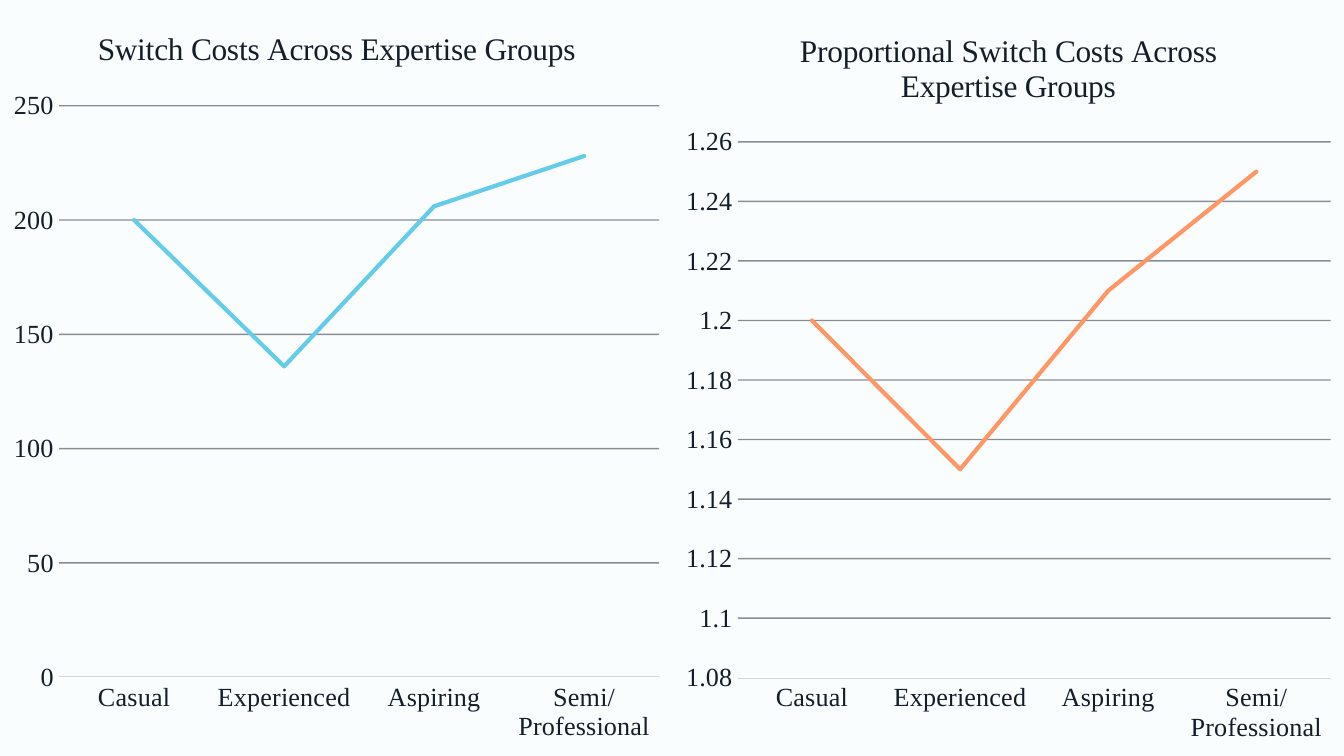
from dataclasses import dataclass

from pptx import Presentation, util as u
from pptx.chart.data import CategoryChartData
from pptx.dml.color import RGBColor
from pptx.enum import chart as ch
from pptx.oxml import parse_xml
from pptx.oxml.ns import nsdecls, qn


@dataclass(frozen=True)
class Theme:
    font: str = "Times New Roman"
    ink: str = "131E29"
    paper: str = "FAFDFE"
    axis: str = "FFFFFF"
    blue: str = "64CBE8"
    orange: str = "FF9664"
    body: float = 14
    title: float = 16.8
    hairline: float = 0.75
    curve: float = 2.25
    grid_alpha: int = 50


@dataclass(frozen=True)
class Panel:
    column: int
    top: float
    title: str
    values: tuple[float, ...]
    color: str
    low: float
    high: float
    step: float
    title_percent: tuple[float, float]
    plot_percent: tuple[float, float, float, float]


THEME = Theme()
WIDTH, COLUMNS = 10, 2
HEIGHT = WIDTH * 9 / 16
GROUPS = ("Casual", "Experienced", "Aspiring", "Semi/Professional")
PANELS = (
    Panel(0, 0, "Switch Costs Across Expertise Groups", (200, 136, 206, 228),
          THEME.blue, 0, 250, 50, (13.7, 3.1), (8.8, 14, 89.3, 75.6)),
    Panel(1, 0.01, "Proportional Switch Costs Across Expertise Groups",
          (1.2, 1.15, 1.21, 1.25), THEME.orange, 1.08, 1.26, 0.02,
          (18.2, 3.1), (9.8, 18.6, 88.2, 70.9)),
)


def apply(target, **values) -> None:
    for name, value in values.items():
        setattr(target, name, value)


def style_font(font, size: float) -> None:
    apply(font, name=THEME.font, size=u.Pt(size), bold=False)
    font.color.rgb = RGBColor.from_string(THEME.ink)


def style_line(line, color: str, width: float) -> None:
    line.color.rgb = RGBColor.from_string(color)
    line.width = u.Pt(width)


def set_layout(parent, index: int, percents: tuple[float, ...]) -> None:
    for old in parent.findall(qn("c:layout")):
        parent.remove(old)
    target = '<c:layoutTarget val="inner"/>' if len(percents) == 4 else ""
    sizes = "".join(f'<c:{k} val="{v / 100}"/>' for k, v in zip("xywh", percents))
    parent.insert(index, parse_xml(
        f'<c:layout {nsdecls("c")}><c:manualLayout>{target}'
        f'<c:xMode val="edge"/><c:yMode val="edge"/>{sizes}'
        "</c:manualLayout></c:layout>"))


def style_axes(chart, panel: Panel) -> None:
    cat, val = chart.category_axis, chart.value_axis
    for axis in (cat, val):
        apply(axis, major_tick_mark=ch.XL_TICK_MARK.NONE,
              minor_tick_mark=ch.XL_TICK_MARK.NONE,
              tick_label_position=ch.XL_TICK_LABEL_POSITION.NEXT_TO_AXIS)
        style_font(axis.tick_labels.font, THEME.body)
    style_line(cat.format.line, THEME.axis, THEME.hairline)
    apply(val, minimum_scale=panel.low, maximum_scale=panel.high,
          major_unit=panel.step, has_major_gridlines=True)
    apply(val.tick_labels, number_format="General", number_format_is_linked=False)
    val.format.line.fill.background()
    style_line(val.major_gridlines.format.line, THEME.ink, THEME.hairline)
    color = val._element.find(qn("c:majorGridlines")).find(".//" + qn("a:srgbClr"))
    color.append(parse_xml(
        f'<a:alpha {nsdecls("a")} val="{THEME.grid_alpha * 1000}"/>'))


def style_title(chart, panel: Panel) -> None:
    chart.has_title = True
    title = chart.chart_title
    title.include_in_layout = False
    p = title.text_frame.paragraphs[0]
    r = p.add_run()
    r.text = panel.title
    for font in (p.font, r.font):
        style_font(font, THEME.title)
    set_layout(title._element, 1, panel.title_percent)


def draw_panel(slide, panel: Panel) -> None:
    data = CategoryChartData()
    data.categories = GROUPS
    data.add_series("Series 1", panel.values)
    width = WIDTH / COLUMNS
    frame = slide.shapes.add_chart(
        ch.XL_CHART_TYPE.LINE, u.Inches(panel.column * width),
        u.Inches(panel.top), u.Inches(width), u.Inches(HEIGHT), data)
    chart = frame.chart
    chart.has_legend = False
    style_font(chart.font, THEME.body)
    style_title(chart, panel)
    style_axes(chart, panel)
    plot = chart.plots[0]
    plot.vary_by_categories = False
    series = plot.series[0]
    series.smooth = False
    series.marker.style = ch.XL_MARKER_STYLE.NONE
    style_line(series.format.line, panel.color, THEME.curve)
    series.format.line._get_or_add_ln().set("cap", "rnd")
    set_layout(plot._element.getparent(), 0, panel.plot_percent)


def main() -> None:
    prs = Presentation()
    apply(prs, slide_width=u.Inches(WIDTH), slide_height=u.Inches(HEIGHT))
    slide = prs.slides.add_slide(prs.slide_layouts[6])
    fill = slide.background.fill
    fill.solid()
    fill.fore_color.rgb = RGBColor.from_string(THEME.paper)
    for panel in PANELS:
        draw_panel(slide, panel)
    prs.save("out.pptx")


if __name__ == "__main__":
    main()
